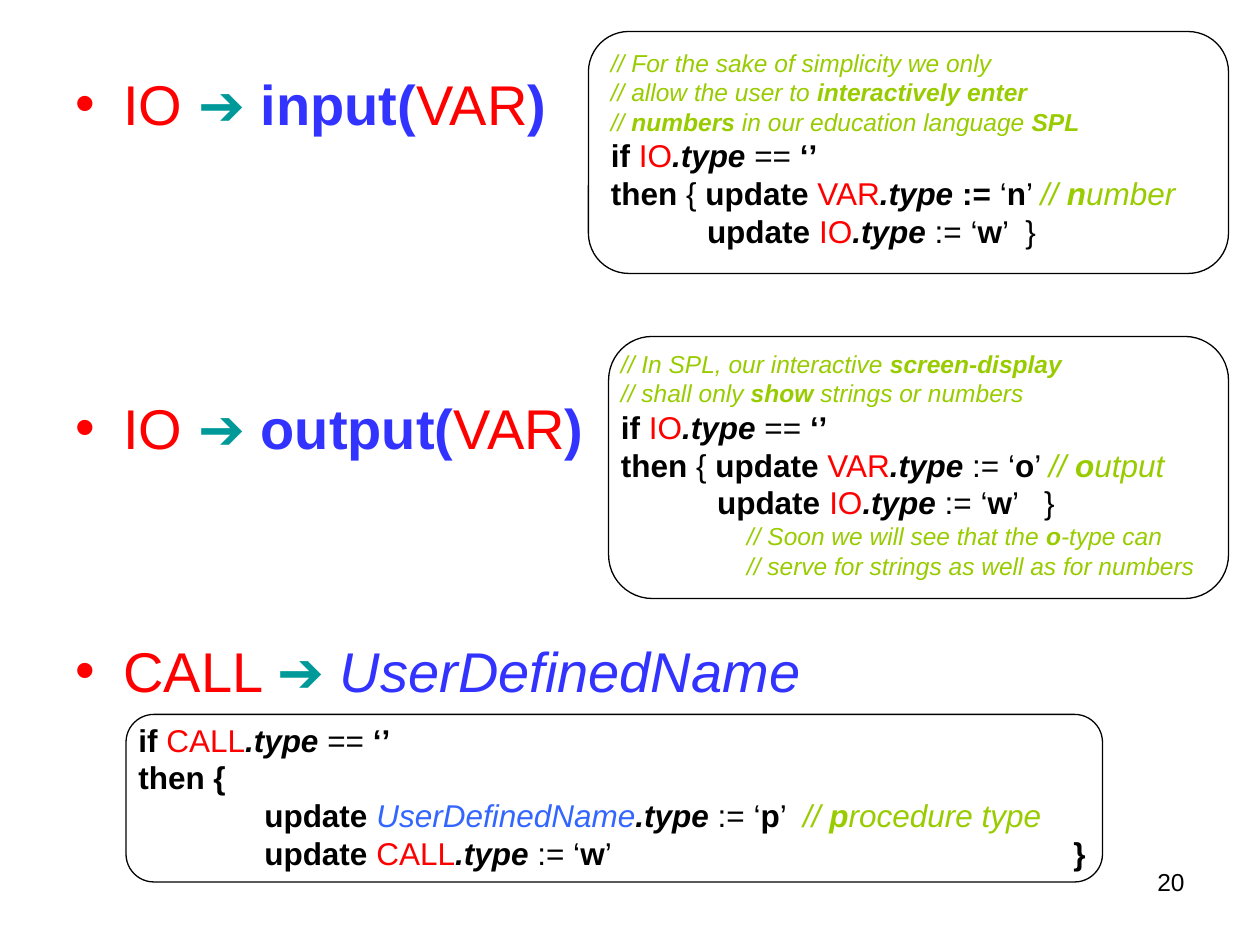
import lxml.etree
import pptx
import pptx.enum.shapes
import pptx.enum.text
import pptx.oxml.ns
import pptx.util
from pptx.dml.color import RGBColor
from pptx.util import Inches

COLORS = {
    "red": "FF0000",
    "teal": "009999",
    "blue": "3333FF",
    "name": "3366FF",
    "comment": "99CC00",
    "black": "000000",
}
ARROW = ("➔ ", "teal")


class SlideBuilder:
    font = "Arial"
    comment_size = 14
    code_size = 18
    bullet_size = 32

    def __init__(self, presentation):
        layout = presentation.slide_layouts.get_by_name("Title and Content")
        self.slide = presentation.slides.add_slide(layout)
        title = self.slide.shapes.title
        title.element.getparent().remove(title.element)

    def add_runs(self, paragraph, runs, size):
        """Each run is (text, style); a style is a colour and optionally bold, italic."""
        for text, style in runs:
            color, *emphasis = style.split()
            run = paragraph.add_run()
            run.text = text
            run.font.name = self.font
            run.font.size = pptx.util.Pt(size)
            run.font.bold = "bold" in emphasis
            run.font.italic = "italic" in emphasis
            run.font.color.rgb = RGBColor.from_string(COLORS[color])

    def add_element(self, paragraph, tag, **attributes):
        properties = paragraph._p.get_or_add_pPr()
        element = lxml.etree.SubElement(properties, pptx.oxml.ns.qn(tag))
        for name, value in attributes.items():
            element.set(name, str(value))
        return element

    def add_tabs(self, paragraph, stops):
        tab_list = self.add_element(paragraph, "a:tabLst")
        for stop in stops:
            tab = lxml.etree.SubElement(tab_list, pptx.oxml.ns.qn("a:tab"))
            tab.set("pos", str(Inches(stop)))
            tab.set("algn", "l")

    def bullets(self, left, top, width, height, items):
        """Each item is (space before in points, runs)."""
        body = self.slide.placeholders[1]
        body.left, body.top = Inches(left), Inches(top)
        body.width, body.height = Inches(width), Inches(height)
        frame = body.text_frame
        frame.auto_size = pptx.enum.text.MSO_AUTO_SIZE.NONE
        for index, (space, runs) in enumerate(items):
            paragraph = frame.add_paragraph() if index else frame.paragraphs[0]
            properties = paragraph._p.get_or_add_pPr()
            properties.set("marL", str(Inches(0.38)))
            properties.set("indent", str(Inches(-0.38)))
            color = self.add_element(paragraph, "a:buClr")
            lxml.etree.SubElement(color, pptx.oxml.ns.qn("a:srgbClr")).set("val", COLORS["red"])
            self.add_element(paragraph, "a:buFont", typeface=self.font)
            self.add_element(paragraph, "a:buChar", char="•")
            paragraph.space_before = pptx.util.Pt(space)
            self.add_runs(paragraph, runs, self.bullet_size)

    def text_box(self, left, top, width, height):
        box = self.slide.shapes.add_textbox(
            Inches(left), Inches(top), Inches(width), Inches(height))
        box.text_frame.word_wrap = True
        return box.text_frame

    def code(self, left, top, width, height, lines, tabs=(1,)):
        """Each line is (size, runs)."""
        frame = self.text_box(left, top, width, height)
        frame.auto_size = pptx.enum.text.MSO_AUTO_SIZE.SHAPE_TO_FIT_TEXT
        for index, (size, runs) in enumerate(lines):
            paragraph = frame.add_paragraph() if index else frame.paragraphs[0]
            if any("\t" in text for text, style in runs):
                self.add_tabs(paragraph, tabs)
            self.add_runs(paragraph, runs, size)

    def outline(self, left, top, width, height):
        shape = self.slide.shapes.add_shape(
            pptx.enum.shapes.MSO_SHAPE.FLOWCHART_ALTERNATE_PROCESS,
            Inches(left), Inches(top), Inches(width), Inches(height))
        shape.shadow.inherit = False
        shape.fill.background()
        shape.line.color.rgb = RGBColor.from_string(COLORS["black"])
        shape.line.width = pptx.util.Pt(0.75)

    def page_number(self, left, top, width, height, number):
        paragraph = self.text_box(left, top, width, height).paragraphs[0]
        paragraph.alignment = pptx.enum.text.PP_ALIGN.RIGHT
        self.add_runs(paragraph, [(number, "black")], self.comment_size)


def comment(*parts):
    """Comment line whose every second part is bold."""
    styles = ("comment italic", "comment bold italic")
    runs = [(text, styles[index % 2]) for index, text in enumerate(parts)]
    return SlideBuilder.comment_size, runs


def code_line(*runs):
    return SlideBuilder.code_size, list(runs)


def condition(symbol):
    return code_line(("if ", "black bold"), (symbol, "red"),
                     (".type", "black bold italic"), (" == ", "black"), ("‘’", "black bold"))


def update(lead, symbol, color, value, *rest):
    return [(lead + "update ", "black bold"), (symbol, color),
            (".type", "black bold italic"), (" := ", "black"),
            ("‘", "black"), (value, "black bold"), *rest]


def then_update(value, remark):
    return code_line(("then ", "black bold"), ("{", "black"),
                     *update(" ", "VAR", "red", value, ("’ ", "black"),
                             *comment("// ", value, remark)[1]))


def io_update(ending):
    return code_line(*update("           ", "IO", "red", "w", (ending, "black")))


def io_rule(function):
    return [("IO ", "red"), ARROW, (function + "(", "blue bold"),
            ("VAR", "red"), (")", "blue bold")]


def main():
    presentation = pptx.Presentation()
    presentation.slide_width, presentation.slide_height = Inches(10), Inches(7.5)
    builder = SlideBuilder(presentation)

    builder.bullets(0.5, 0.5, 6.17, 6.75, [
        (0, io_rule("input")),
        (147, io_rule("output")),
        (100.5, [("CALL ", "red"), ARROW, ("UserDefinedName", "blue italic")]),
    ])

    builder.code(1, 5.67, 8, 1.3, [
        condition("CALL"),
        code_line(("then {", "black bold")),
        code_line(*update("\t", "UserDefinedName", "name italic", "p", ("’  ", "black"),
                          *comment("// ", "p", "rocedure type")[1])),
        code_line(*update("\t", "CALL", "red", "w", ("’\t", "black"), ("}", "black bold"))),
    ], tabs=(1, 7.42))

    input_lines = [
        comment("// For the sake of simplicity we only"),
        comment("// allow the user to ", "interactively enter"),
        comment("// ", "numbers", " in our education language ", "SPL"),
        condition("IO"),
        then_update("n", "umber"),
        io_update("’  }"),
    ]
    input_lines[4][1][5] = (" := ", "black bold")
    builder.code(4.75, 0.33, 5.08, 1.7, input_lines)
    builder.outline(4.67, 0.25, 5.08, 1.92)

    builder.code(4.83, 2.72, 4.92, 1.94, [
        comment("// In SPL, our interactive ", "screen-display"),
        comment("// shall only ", "show ", "strings or numbers"),
        condition("IO"),
        then_update("o", "utput"),
        io_update("’   }"),
        comment("\t// Soon we will see that the ", "o", "-type can"),
        comment("\t// serve for strings as well as for numbers"),
    ])
    builder.outline(4.83, 2.67, 4.92, 2.08)
    builder.outline(1, 5.67, 7.75, 1.33)
    builder.page_number(7.17, 6.83, 2.33, 0.52, "20")

    presentation.save("out.pptx")


if __name__ == "__main__":
    main()
